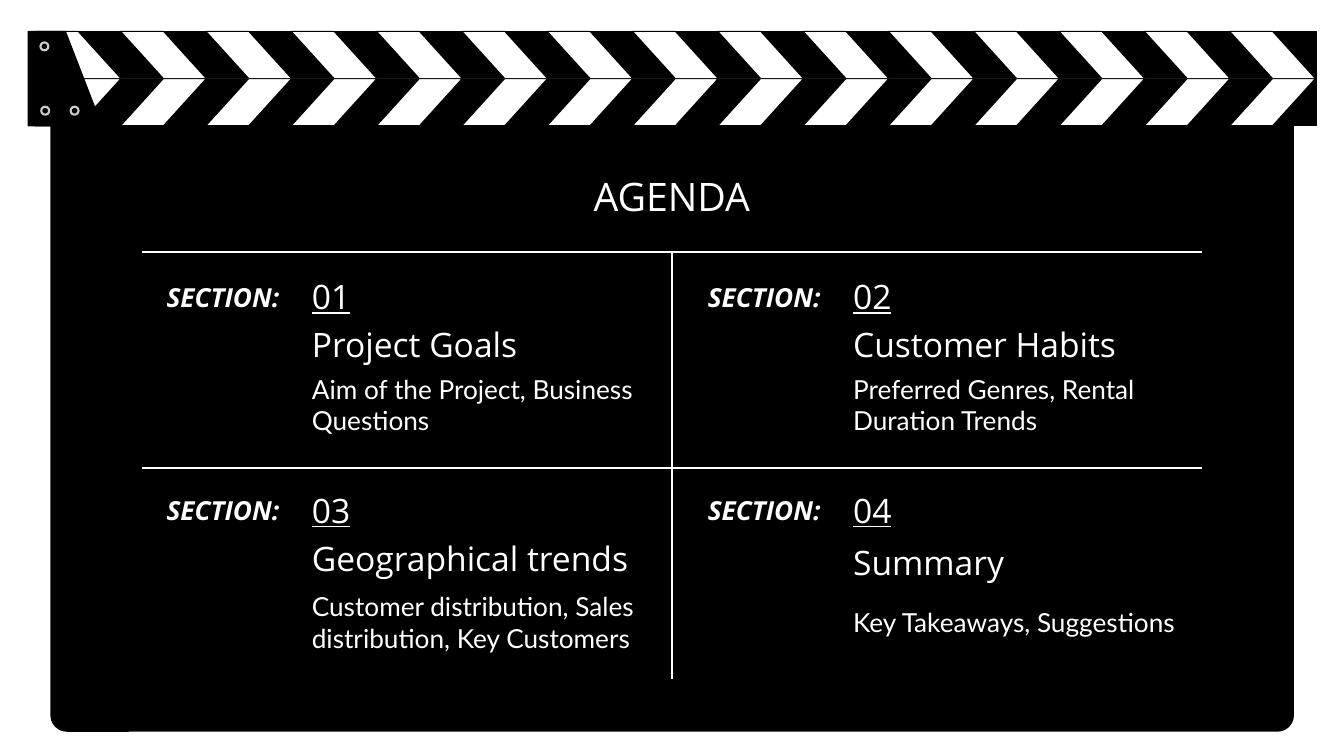
from dataclasses import dataclass

from lxml.etree import SubElement
from pptx import Presentation
from pptx.dml.color import RGBColor as Rgb
from pptx.enum.shapes import MSO_CONNECTOR as Link, MSO_SHAPE as Kind
from pptx.enum.text import MSO_ANCHOR as Anchor, PP_ALIGN as Align
from pptx.oxml.ns import qn
from pptx.util import Cm, Pt


@dataclass(frozen=True)
class Theme:
    ink: str = "000000"
    chalk: str = "FFFFFF"
    seam: str = "171717"
    rivet: str = "CCCCCC"
    head: str = "Open Sans"
    body: str = "Lato"
    big: float = 28
    mid: float = 24
    small: float = 18.7


class Board:
    """Draws the parts of a clapperboard slide in one theme."""

    def __init__(self, slide, theme):
        self.shapes = slide.shapes
        self.theme = theme

    def paint(self, shape, fill, line=None, width=0.75):
        shape.shadow.inherit = False
        shape.fill.solid()
        shape.fill.fore_color.rgb = Rgb.from_string(fill)
        if line:
            shape.line.color.rgb = Rgb.from_string(line)
            shape.line.width = Pt(width)
        else:
            shape.line.fill.background()

    def panel(self, x, y, w, h, round):
        shape = self.shapes.add_shape(Kind.ROUNDED_RECTANGLE, Cm(x), Cm(y), Cm(w), Cm(h))
        shape.adjustments[0] = round
        self.paint(shape, self.theme.ink)

    def rivet(self, x, y, size=0.2):
        shape = self.shapes.add_shape(
            Kind.OVAL, Cm(x - size / 2), Cm(y - size / 2), Cm(size), Cm(size))
        self.paint(shape, self.theme.ink, self.theme.rivet, 1.5)

    def poly(self, points, fill):
        first, *rest = [(Cm(x), Cm(y)) for x, y in points]
        path = self.shapes.build_freeform(*first)
        path.add_line_segments(rest, close=True)
        self.paint(path.convert_to_shape(), fill, self.theme.ink)

    def line(self, x1, y1, x2, y2, color, width):
        rule = self.shapes.add_connector(Link.STRAIGHT, Cm(x1), Cm(y1), Cm(x2), Cm(y2))
        rule.line.color.rgb = Rgb.from_string(color)
        rule.line.width = Pt(width)
        SubElement(rule._element.spPr, qn("a:effectLst"))

    def text(self, words, x, y, w, h, size, face=None, align=Align.LEFT,
             anchor=Anchor.MIDDLE, strong=False, under=False):
        frame = self.shapes.add_textbox(Cm(x), Cm(y), Cm(w), Cm(h)).text_frame
        frame.word_wrap = True
        frame.vertical_anchor = anchor
        frame.margin_left = frame.margin_right = Cm(0.34)
        frame.margin_top = frame.margin_bottom = Cm(0.34)
        para = frame.paragraphs[0]
        para.text = words
        para.alignment = align
        font = para.font
        font.name = face or self.theme.head
        font.size = Pt(size)
        font.bold = font.italic = strong
        font.underline = under
        font.color.rgb = Rgb.from_string(self.theme.chalk)

    def clapper(self):
        ink, chalk = self.theme.ink, self.theme.chalk
        left, right, top, seam, base = 0.71, 33.17, 0.79, 1.98, 3.17
        step, half = 2.15, 1.08
        for edge, y1, y2 in ((top, top, seam), (base, seam, base)):
            self.poly([(left, y1), (left, y2), (right, y2), (right, y1)], ink)
            for i in range(15):
                x = 0.89 + i * step
                self.poly([(x, edge), (x + half, seam),
                           (x + 2 * half, seam), (x + half, edge)], chalk)
        self.line(left, seam, right, seam, self.theme.seam, 0.48)
        self.poly([(left, top), (left, base), (2.57, base), (1.65, top)], ink)
        for x, y in ((1.12, 1.17), (1.14, 2.79), (1.88, 2.79)):
            self.rivet(x, y)

    def section(self, num, name, note, x, tops, wide):
        look = self.theme
        tag, mark, title, sub = tops
        self.text("SECTION:", x, tag, 3.76, 0.97, look.small, anchor=Anchor.TOP, strong=True)
        x += 3.66
        self.text(num, x, mark, 1.68, 1.35, look.mid, under=True)
        self.text(name, x, title, wide, 1.96, look.mid)
        self.text(note, x, sub, 9.12, 1.8, look.small, look.body)


def main():
    deck = Presentation()
    deck.slide_width, deck.slide_height = Cm(33.87), Cm(19.05)
    look = Theme()
    board = Board(deck.slides.add_slide(deck.slide_layouts[6]), look)

    board.panel(1.27, 2.46, 31.34, 15.98, 0.026)
    board.clapper()
    board.text("AGENDA", 2.67, 3.86, 28.52, 2.13, look.big, align=Align.CENTER)

    one, two = 3.86, 17.5
    upper = (6.76, 6.78, 7.7, 9.3)
    lower = (12.12, 12.17, 13.08, 14.78)
    last = (12.12, 12.17, 13.18, 14.78)
    for part in (
        ("01", "Project Goals", "Aim of the Project, Business Questions", one, upper, 9.12),
        ("02", "Customer Habits", "Preferred Genres, Rental Duration Trends", two, upper, 9.12),
        ("03", "Geographical trends",
         "Customer distribution, Sales distribution, Key Customers", one, lower, 9.98),
        ("04", "Summary", "Key Takeaways, Suggestions", two, last, 9.12),
    ):
        board.section(*part)

    for ends in ((3.58, 11.79, 30.28, 11.79), (3.58, 6.35, 30.28, 6.35),
                 (16.93, 6.35, 16.93, 17.12)):
        board.line(*ends, look.chalk, 1.5)
    deck.save("out.pptx")


if __name__ == "__main__":
    main()
